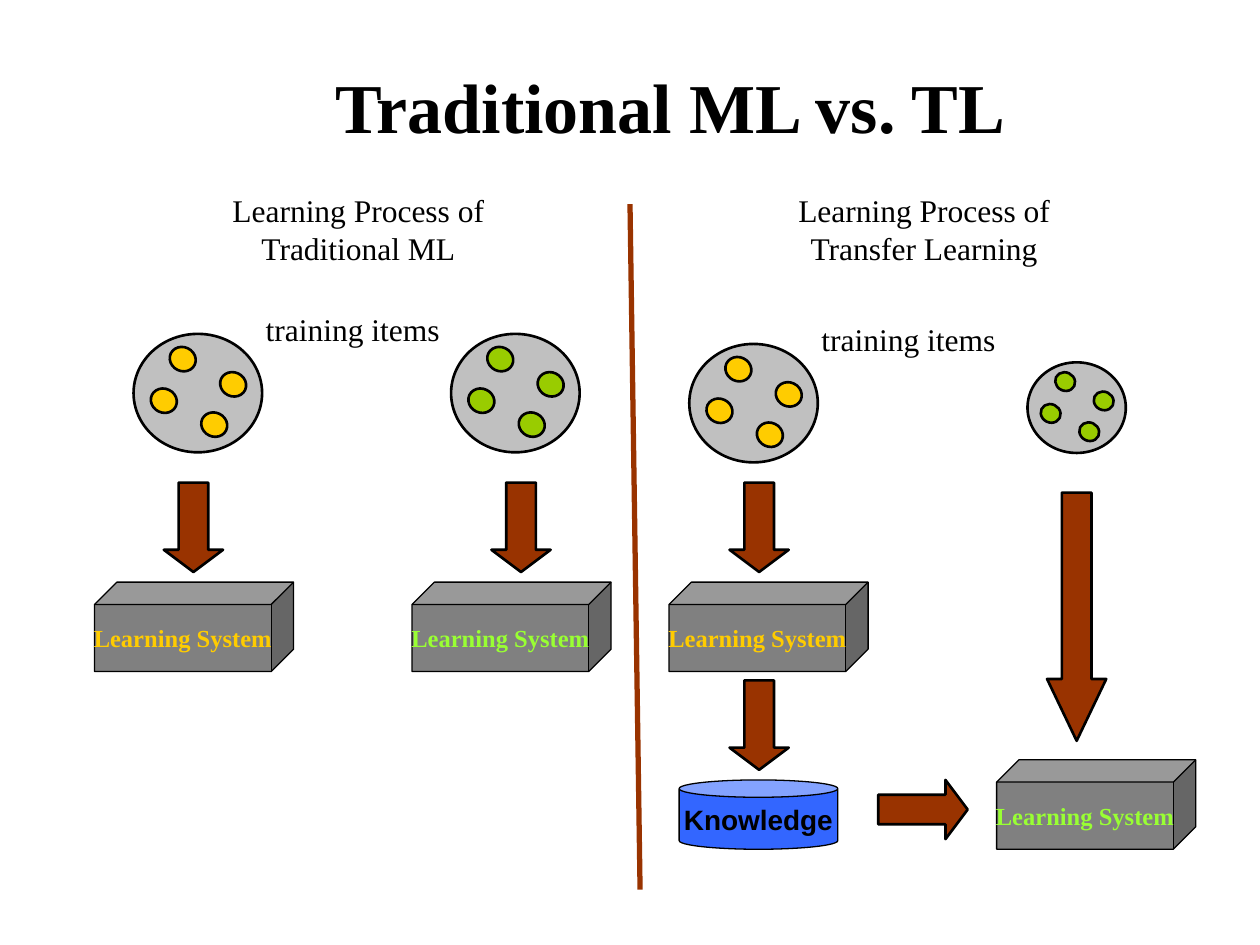
from dataclasses import dataclass

from lxml import etree
from pptx import Presentation
from pptx.dml.color import RGBColor
from pptx.enum.shapes import MSO_CONNECTOR, MSO_SHAPE as Preset
from pptx.enum.text import MSO_ANCHOR as Anchor, PP_ALIGN as Align
from pptx.oxml.ns import qn
from pptx.util import Inches, Pt

COLORS = {
    "black": "000000",
    "rust": "993300",
    "pool": "C0C0C0",
    "system": "808080",
    "knowledge": "3366FF",
    "yellow": "FFCC00",
    "green": "99CC00",
    "lime": "99FF33",
}
SERIF = "Times New Roman"
ITEM_OFFSETS = [(-0.27, 0.06), (-0.12, -0.27), (0.13, 0.25), (0.28, -0.07)]


@dataclass
class Label:
    text: str
    size: int
    color: str = "black"
    bold: bool = False
    font: str = SERIF
    wrap: bool = False


@dataclass
class Pool:
    x: float
    y: float
    color: str
    scale: float = 1


@dataclass
class Arrow:
    x: float
    y: float
    length: float = 0.71
    head: float = 0.375
    rotation: float = 90


@dataclass
class System:
    left: float
    top: float
    color: str


@dataclass
class Process:
    pools: list[Pool]
    caption_left: float
    caption_top: float
    systems: list[System]
    arrows: list[Arrow]


PROCESSES = [
    Process(
        [Pool(1.57, 3.12, "yellow"), Pool(4.09, 3.12, "green")],
        2.01, 2.41,
        [System(0.75, 4.62, "yellow"), System(3.27, 4.62, "lime")],
        [Arrow(1.535, 4.185), Arrow(4.135, 4.185)],
    ),
    Process(
        [Pool(5.98, 3.2, "yellow"), Pool(8.545, 3.235, "green", 0.765)],
        6.42, 2.49,
        [System(5.31, 4.62, "yellow"), System(7.91, 6.03, "lime")],
        [
            Arrow(6.025, 4.185),
            Arrow(8.545, 4.895, length=1.97, head=1.044),
            Arrow(7.325, 6.425, rotation=0),
            Arrow(6.025, 5.755),
        ],
    ),
]


def color(name: str) -> RGBColor:
    return RGBColor.from_string(COLORS[name])


def write(shape, label: Label, anchor=Anchor.MIDDLE) -> None:
    frame = shape.text_frame
    frame.word_wrap = label.wrap
    frame.vertical_anchor = anchor
    paragraph = frame.paragraphs[0]
    paragraph.text = label.text
    paragraph.alignment = Align.CENTER
    font = paragraph.font
    font.name = label.font
    font.size = Pt(label.size)
    font.bold = label.bold
    font.color.rgb = color(label.color)


def add_text(shapes, left: float, top: float, width: float, height: float,
             label: Label, anchor=Anchor.TOP) -> None:
    box = shapes.add_textbox(Inches(left), Inches(top), Inches(width), Inches(height))
    write(box, label, anchor)


def add_preset(shapes, preset, left: float, top: float, width: float, height: float,
               fill: str, line_width: float = 1.5, rotation: float = 0):
    shape = shapes.add_shape(preset, Inches(left), Inches(top), Inches(width), Inches(height))
    shape.shadow.inherit = False
    shape.rotation = rotation
    shape.fill.solid()
    shape.fill.fore_color.rgb = color(fill)
    shape.line.color.rgb = color("black")
    shape.line.width = Pt(line_width)
    return shape


def add_centered(shapes, preset, x: float, y: float, width: float, height: float,
                 fill: str, rotation: float):
    return add_preset(shapes, preset, x - width / 2, y - height / 2, width, height,
                      fill, rotation=rotation)


def add_pool(shapes, pool: Pool) -> None:
    scale = pool.scale
    add_centered(shapes, Preset.OVAL, pool.x, pool.y, 0.94 * scale, 1.02 * scale, "pool", 90)
    for dx, dy in ITEM_OFFSETS:
        add_centered(shapes, Preset.OVAL, pool.x + dx * scale, pool.y + dy * scale,
                     0.19 * scale, 0.21 * scale, pool.color, 115.6)


def add_arrow(shapes, arrow: Arrow) -> None:
    shape = add_centered(shapes, Preset.RIGHT_ARROW, arrow.x, arrow.y, arrow.length, 0.47,
                         "rust", arrow.rotation)
    shape.adjustments[0] = 0.5
    shape.adjustments[1] = arrow.head


def add_system(shapes, system: System) -> None:
    cube = add_preset(shapes, Preset.CUBE, system.left, system.top, 1.58, 0.71, "system", 0.75)
    cube.adjustments[0] = 0.25
    write(cube, Label("Learning System", 14, system.color, bold=True))


def add_knowledge(shapes) -> None:
    can = add_preset(shapes, Preset.CAN, 5.39, 6.19, 1.26, 0.55, "knowledge", 0.75)
    can.adjustments[0] = 0.25
    write(can, Label("Knowledge", 16, bold=True, font="Arial"))


def add_process(slide, process: Process):
    shapes = slide.shapes.add_group_shape().shapes
    for pool in process.pools:
        add_pool(shapes, pool)
    add_text(shapes, process.caption_left, process.caption_top, 1.58, 0.4,
             Label("training items", 18))
    for system in process.systems:
        add_system(shapes, system)
    for arrow in process.arrows:
        add_arrow(shapes, arrow)
    return shapes


def add_divider(slide) -> None:
    divider = slide.shapes.add_connector(
        MSO_CONNECTOR.STRAIGHT, Inches(5), Inches(1.62), Inches(5.08), Inches(7.06))
    divider.line.color.rgb = color("rust")
    divider.line.width = Pt(3)
    etree.SubElement(divider._element.spPr, qn("a:effectLst"))


def main() -> None:
    presentation = Presentation()
    presentation.slide_width = Inches(10)
    presentation.slide_height = Inches(7.5)
    slide = presentation.slides.add_slide(presentation.slide_layouts[6])

    add_text(slide.shapes, 1.22, 0.21, 8.2, 1.25,
             Label("Traditional ML vs. TL", 40, bold=True, wrap=True), Anchor.MIDDLE)
    add_text(slide.shapes, 1.61, 1.47, 2.47, 0.7,
             Label("Learning Process of Traditional ML", 18, wrap=True))
    add_text(slide.shapes, 6.18, 1.47, 2.31, 0.7,
             Label("Learning Process of Transfer Learning", 18, wrap=True))
    add_divider(slide)
    traditional, transfer = [add_process(slide, process) for process in PROCESSES]
    add_knowledge(transfer)
    presentation.save("out.pptx")


if __name__ == "__main__":
    main()
